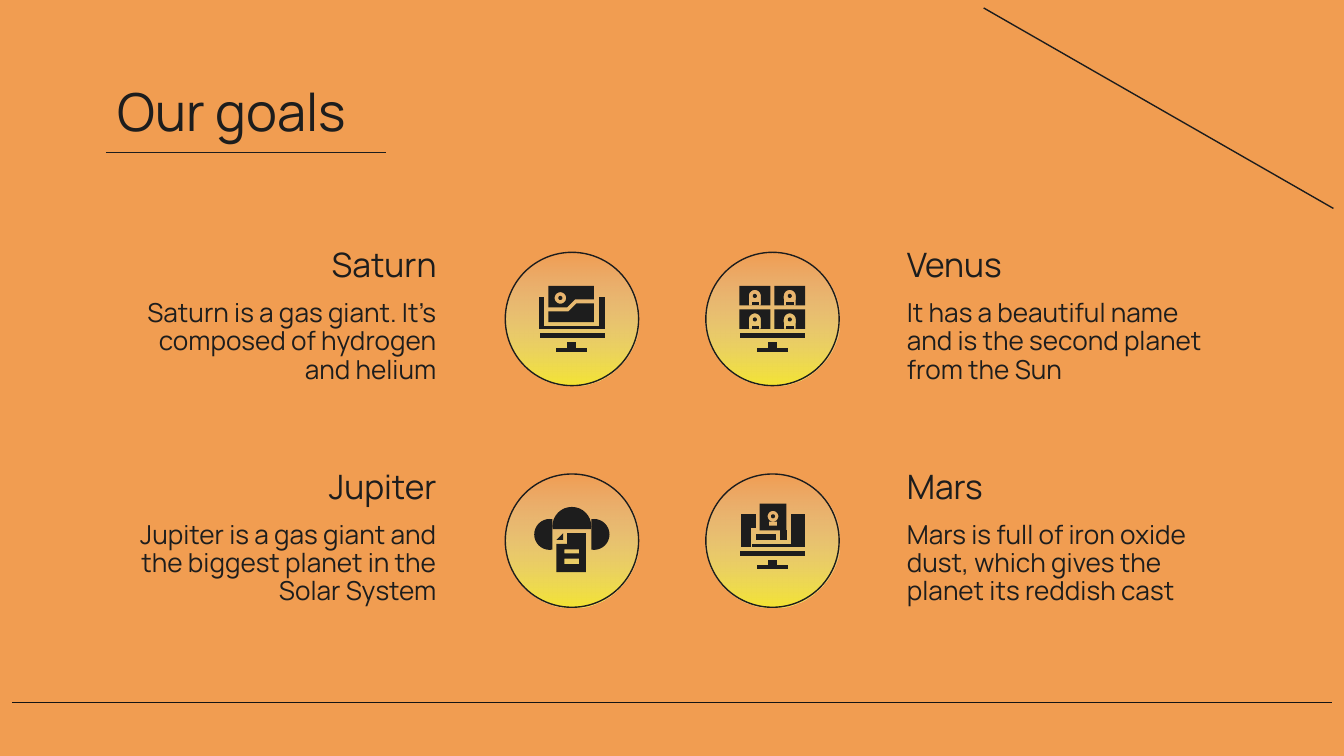
import math

import pptx
import pptx.dml.color
import pptx.enum.shapes
import pptx.enum.text
import pptx.oxml
import pptx.oxml.ns
import pptx.util

Cm, Pt = pptx.util.Cm, pptx.util.Pt
ALIGN = pptx.enum.text.PP_ALIGN

THEME = {
    "font": "Manrope", "background": "F19D51", "ink": "1D1D1D", "footer": "141414",
    "glow_top": "CCE9E9", "glow_bottom": "F4E533",
    "title": 28, "heading": 18, "body": 14, "line": 0.75,
}

TITLE = "Our goals"
# One list per row: heading, description, icon
GOALS = [
    [("Saturn", "Saturn is a gas giant. It’s composed of hydrogen and helium", "picture"),
     ("Venus", "It has a beautiful name and is the second planet from the Sun", "meeting")],
    [("Jupiter", "Jupiter is a gas giant and the biggest planet in the Solar System", "cloud"),
     ("Mars", "Mars is full of iron oxide dust, which gives the planet its reddish cast",
      "diploma")],
]
# x1, y1, x2, y2 in cm, colour
LINES = [
    (0.23, 13.28, 25.17, 13.28, "footer"),
    (18.59, 0.15, 25.2, 3.94, "ink"),
    (2.0, 2.88, 7.29, 2.88, "ink"),
]

# Layout in cm
ROW_TOP, ROW_STEP = 4.52, 4.19
TEXT_X, TEXT_W = (2.0, 16.89), 6.5
HEADING_H, BODY_H = 0.94, 2.03
CIRCLE_X, CIRCLE_DROP, CIRCLE_D = (9.55, 13.34), 0.25, 2.52
ICON_UNIT = 0.0254
FINE = 100  # freeform steps in one icon unit


def box(x, y, w, h):
    return [(x, y), (x, y + h), (x + w, y + h), (x + w, y)]


def disc(cx, cy, r, left=0, right=FINE, floor=None):
    """Circle cut at left and right; with a floor, its lower half becomes a block."""
    points = []
    for i in range(32):
        x, y = (c + r * f(math.tau * i / 32) for c, f in ((cx, math.cos), (cy, math.sin)))
        points.append((min(max(x, left), right), floor if floor and i in range(1, 16) else y))
    return points


def stand(y=60):
    """Lower bar, neck and foot of a monitor."""
    return [[box(25.5, y, 48.5, 4)], [box(46, y + 7, 7, 4)], [box(38, y + 11, 23, 3)]]


def caller(x, y):
    """One tile of the video call, with a head and shoulders cut out."""
    head = x + 11.5, y + 7.5
    return [[box(x, y, 23, 14.5), disc(*head, 4.5, floor=y + 14.5)],
            [disc(*head, 1.5)], [box(x + 9, y + 12, 5.5, 2.5)]]


# An icon is a list of shapes, a shape a list of contours (the later ones are holes).
ICONS = {
    "picture": stand() + [
        [box(25, 33, 4, 24)], [box(70, 33, 4, 24)], [box(29, 55, 41, 2)],
        [disc(41, 34, 1.5)],
        [[(32, 25), (32, 41), (46, 41), (52, 35), (66, 35), (66, 25)], disc(41, 34, 4.3)],
        [[(32, 44), (32, 52), (66, 52), (66, 38), (53, 38), (47, 44)]],
    ],
    "meeting": stand() + [part for y in (25, 42.5) for x in (25, 51) for part in caller(x, y)],
    "cloud": [
        [disc(33, 45, 11.5, right=35)], [disc(49.5, 39, 14.5, floor=41)],
        [disc(66, 45, 11.5, left=64)],
        [[(46, 44), (46, 52), (38, 52), (38, 73), (60, 73), (60, 44)],
         box(44, 56, 11, 3), box(44, 63, 11, 4)],
        [[(43, 44), (38, 49), (43, 49)]],
    ],
    "diploma": stand(57) + [
        [box(40, 22, 20, 20), disc(50, 31.5, 4), box(47, 35.5, 6, 3)],
        [disc(50, 31.5, 1.5)], [box(55, 42, 5, 7)], [box(37, 45, 15, 4)],
        [box(26, 30, 11, 10)], [box(26, 40, 8, 14)], [box(63, 30, 11, 24)],
        [box(34, 52, 29, 2)],
    ],
}


def rgb(name):
    return pptx.dml.color.RGBColor.from_string(THEME[name])


def add_text(slide, text, x, y, w, h, size="body", align=ALIGN.LEFT, spacing=1.0):
    tf = slide.shapes.add_textbox(Cm(x), Cm(y), Cm(w), Cm(h)).text_frame
    tf.word_wrap = True
    tf.vertical_anchor = pptx.enum.text.MSO_ANCHOR.MIDDLE
    tf.margin_left = tf.margin_right = tf.margin_top = tf.margin_bottom = Cm(0.25)
    p = tf.paragraphs[0]
    p.alignment, p.line_spacing = align, spacing
    r = p.add_run()
    r.text = text
    r.font.name, r.font.size = THEME["font"], Pt(THEME[size])
    r.font.color.rgb = rgb("ink")


def add_line(slide, x1, y1, x2, y2, color):
    line = slide.shapes.add_connector(
        pptx.enum.shapes.MSO_CONNECTOR.STRAIGHT, Cm(x1), Cm(y1), Cm(x2), Cm(y2))
    line.line.color.rgb, line.line.width = rgb(color), Pt(THEME["line"])
    line._element.spPr.append(pptx.oxml.parse_xml(
        f'<a:effectLst {pptx.oxml.ns.nsdecls("a")}/>'))


def add_circle(slide, x, y):
    """Outlined disc whose glow fades out towards the top."""
    sp = slide.shapes.add_shape(pptx.enum.shapes.MSO_SHAPE.OVAL,
                                Cm(x), Cm(y), Cm(CIRCLE_D), Cm(CIRCLE_D))
    sp.shadow.inherit = False
    sp.fill.gradient()
    sp.fill.gradient_angle = 270
    for stop, position, color in zip(sp.fill.gradient_stops, (0, 1), ("glow_top", "glow_bottom")):
        stop.position, stop.color.rgb = position, rgb(color)
    top = next(sp._element.iter(pptx.oxml.ns.qn("a:srgbClr")))
    top.append(pptx.oxml.parse_xml(f'<a:alpha {pptx.oxml.ns.nsdecls("a")} val="0"/>'))
    sp.line.color.rgb, sp.line.width = rgb("ink"), Pt(THEME["line"])


def add_icon(slide, icon, x, y):
    group = slide.shapes.add_group_shape()
    for contours in ICONS[icon]:
        first, *holes = [[(px * FINE, py * FINE) for px, py in c] for c in contours]
        builder = group.shapes.build_freeform(*first[0], scale=Cm(ICON_UNIT) / FINE)
        builder.add_line_segments(first[1:])
        for hole in holes:
            builder.move_to(*hole[0])
            builder.add_line_segments(hole[1:])
        sp = builder.convert_to_shape(Cm(x), Cm(y))
        sp.shadow.inherit = False
        sp.fill.solid()
        sp.fill.fore_color.rgb = rgb("ink")
        sp.line.fill.background()


def main():
    prs = pptx.Presentation()
    prs.slide_width, prs.slide_height = Cm(25.4), Cm(14.29)
    slide = prs.slides.add_slide(prs.slide_layouts[6])
    slide.background.fill.solid()
    slide.background.fill.fore_color.rgb = rgb("background")
    for line in LINES:
        add_line(slide, *line)
    add_text(slide, TITLE, 1.98, 1.3, 13.89, 1.6, size="title")
    for row, goals in enumerate(GOALS):
        y = ROW_TOP + row * ROW_STEP
        for (heading, body, icon), text_x, circle_x, align in zip(
                goals, TEXT_X, CIRCLE_X, (ALIGN.RIGHT, ALIGN.LEFT)):
            add_text(slide, heading, text_x, y, TEXT_W, HEADING_H, size="heading", align=align)
            add_text(slide, body, text_x, y + HEADING_H, TEXT_W, BODY_H, align=align, spacing=0.9)
            add_circle(slide, circle_x, y + CIRCLE_DROP)
            add_icon(slide, icon, circle_x, y + CIRCLE_DROP)
    prs.save("out.pptx")


if __name__ == "__main__":
    main()
